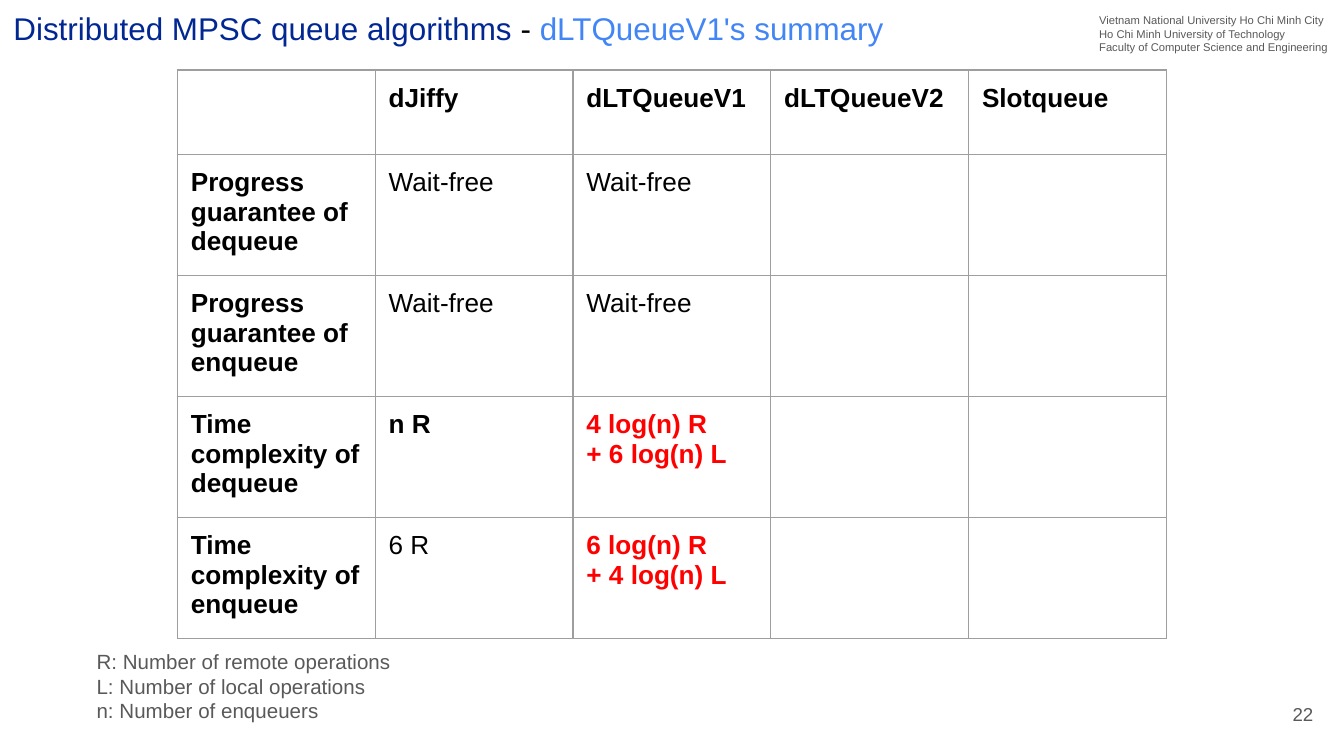
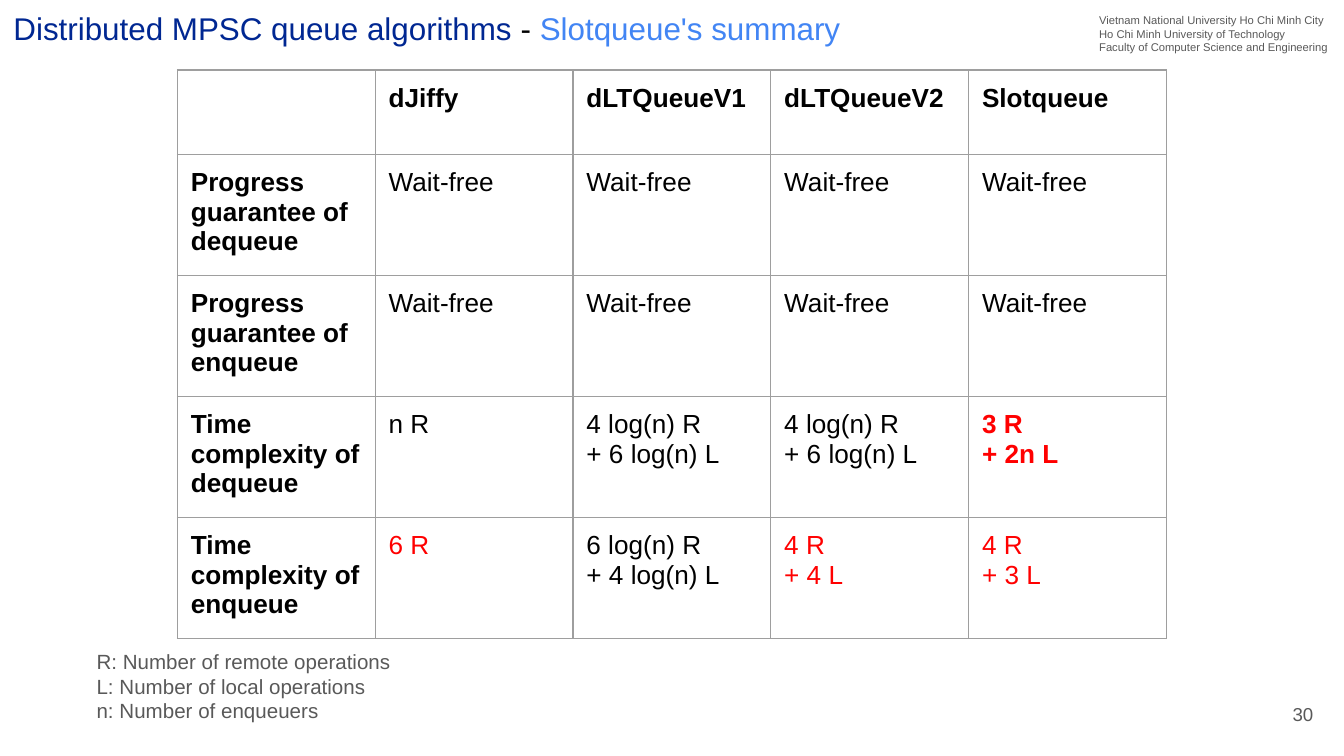
from lxml.etree import SubElement
from pptx import Presentation
from pptx.dml.color import RGBColor
from pptx.enum.text import MSO_ANCHOR, PP_ALIGN
from pptx.oxml.ns import qn
from pptx.util import Inches, Pt

# Grid: one unit is a tenth of an inch, 100 columns wide
UNIT = Inches(0.1)
COLUMNS, ROWS = 100, 56.25

COLORS = {
    "navy": "002792",
    "blue": "4285F4",
    "black": "000000",
    "grey": "595959",
    "red": "FF0000",
    "rule": "9E9E9E",
}

AFFILIATION = [
    "Vietnam National University Ho Chi Minh City",
    "Ho Chi Minh University of Technology",
    "Faculty of Computer Science and Engineering",
]
LEGEND = [
    "R: Number of remote operations",
    "L: Number of local operations",
    "n: Number of enqueuers",
]
QUEUES = ["dJiffy", "dLTQueueV1", "dLTQueueV2", "Slotqueue"]
CRITERIA = [
    "Progress guarantee of dequeue",
    "Progress guarantee of enqueue",
    "Time complexity of dequeue",
    "Time complexity of enqueue",
]

WAIT_FREE = ("Wait-free", "black", False)
V1_DEQUEUE = "4 log(n) R\n+ 6 log(n) L"
V1_ENQUEUE = "6 log(n) R\n+ 4 log(n) L"

# Each result is text, colour, bold; one list per criterion
SUMMARIES = [
    ("dLTQueueV1's summary", "22", [
        [WAIT_FREE] * 2,
        [WAIT_FREE] * 2,
        [("n R", "black", True), (V1_DEQUEUE, "red", True)],
        [("6 R", "black", False), (V1_ENQUEUE, "red", True)],
    ]),
    ("Slotqueue's summary", "30", [
        [WAIT_FREE] * 4,
        [WAIT_FREE] * 4,
        [("n R", "black", False), (V1_DEQUEUE, "black", False),
         (V1_DEQUEUE, "black", False), ("3 R\n+ 2n L", "red", True)],
        [("6 R", "red", False), (V1_ENQUEUE, "black", False),
         ("4 R\n+ 4 L", "red", False), ("4 R\n+ 3 L", "red", False)],
    ]),
]


def units(*values):
    return [round(value * UNIT) for value in values]


class Deck:
    font = "Arial"

    def __init__(self):
        self.prs = Presentation()
        self.prs.slide_width, self.prs.slide_height = units(COLUMNS, ROWS)
        self.slide = None

    def new_slide(self):
        self.slide = self.prs.slides.add_slide(self.prs.slide_layouts[5])

    def run(self, paragraph, text, size, color, bold=False):
        run = paragraph.add_run()
        run.text = text
        run.font.name = self.font
        run.font.size = Pt(size)
        run.font.bold = bold
        run.font.color.rgb = RGBColor.from_string(COLORS[color])

    def lines(self, frame, lines, size, color, bold=False, align=PP_ALIGN.LEFT):
        for index, line in enumerate(lines):
            paragraph = frame.add_paragraph() if index else frame.paragraphs[0]
            paragraph.alignment = align
            self.run(paragraph, line, size, color, bold)

    def frame(self, shape, anchor):
        frame = shape.text_frame
        frame.word_wrap = True
        frame.vertical_anchor = anchor
        self.insets(frame)
        return frame

    def insets(self, target):
        target.margin_left = target.margin_right = UNIT
        target.margin_top = target.margin_bottom = UNIT

    def title(self, topic):
        title = self.slide.shapes.title
        title.left, title.top, title.width, title.height = units(0, 0, 71.6, 4.5)
        heading = self.frame(title, MSO_ANCHOR.BOTTOM).paragraphs[0]
        heading.alignment = PP_ALIGN.LEFT
        self.run(heading, "Distributed MPSC queue algorithms ", 16.8, "navy")
        self.run(heading, "- ", 16.8, "black")
        self.run(heading, topic, 16.8, "blue")

    def note(self, place, lines, size, anchor=MSO_ANCHOR.TOP, align=PP_ALIGN.LEFT):
        box = self.slide.shapes.add_textbox(*units(*place))
        self.lines(self.frame(box, anchor), lines, size, "grey", align=align)

    def borders(self, cell):
        properties = cell._tc.get_or_add_tcPr()
        for side in ("a:lnL", "a:lnR", "a:lnT", "a:lnB"):
            line = SubElement(properties, qn(side), w=str(Pt(0.75)))
            fill = SubElement(line, qn("a:solidFill"))
            SubElement(fill, qn("a:srgbClr"), val=COLORS["rule"])

    def comparison(self, results):
        row_heights = [6.3] + [8.6] * len(CRITERIA)
        column_width = 14.72
        columns = len(QUEUES) + 1
        table = self.slide.shapes.add_table(
            len(row_heights), columns,
            *units(13.2, 5.2, columns * column_width, sum(row_heights))).table
        table.first_row = table.horz_banding = False
        for column in table.columns:
            column.width, = units(column_width)
        for row, height in zip(table.rows, row_heights):
            row.height, = units(height)

        # Borders come before the fill in the cell properties
        for cell in table.iter_cells():
            self.insets(cell)
            self.borders(cell)
            cell.fill.background()

        content = [[None] + [(queue, "black", True) for queue in QUEUES]]
        content += [[(criterion, "black", True)] + result
                    for criterion, result in zip(CRITERIA, results)]
        for r, entries in enumerate(content):
            for c, entry in enumerate(entries):
                if entry:
                    text, color, bold = entry
                    self.lines(table.cell(r, c).text_frame, text.split("\n"),
                               14, color, bold)


def main():
    deck = Deck()
    for topic, number, results in SUMMARIES:
        deck.new_slide()
        # Page number and affiliation
        deck.note((92.7, 51, 6, 4.3), [number], 10, MSO_ANCHOR.MIDDLE, PP_ALIGN.RIGHT)
        deck.note((80.8, 0, 19.2, 5), AFFILIATION, 6)
        # Title, comparison table and legend
        deck.title(topic)
        deck.comparison(results)
        deck.note((6.2, 47.3, 80.5, 7.6), LEGEND, 11)
    deck.prs.save("out.pptx")


if __name__ == "__main__":
    main()
